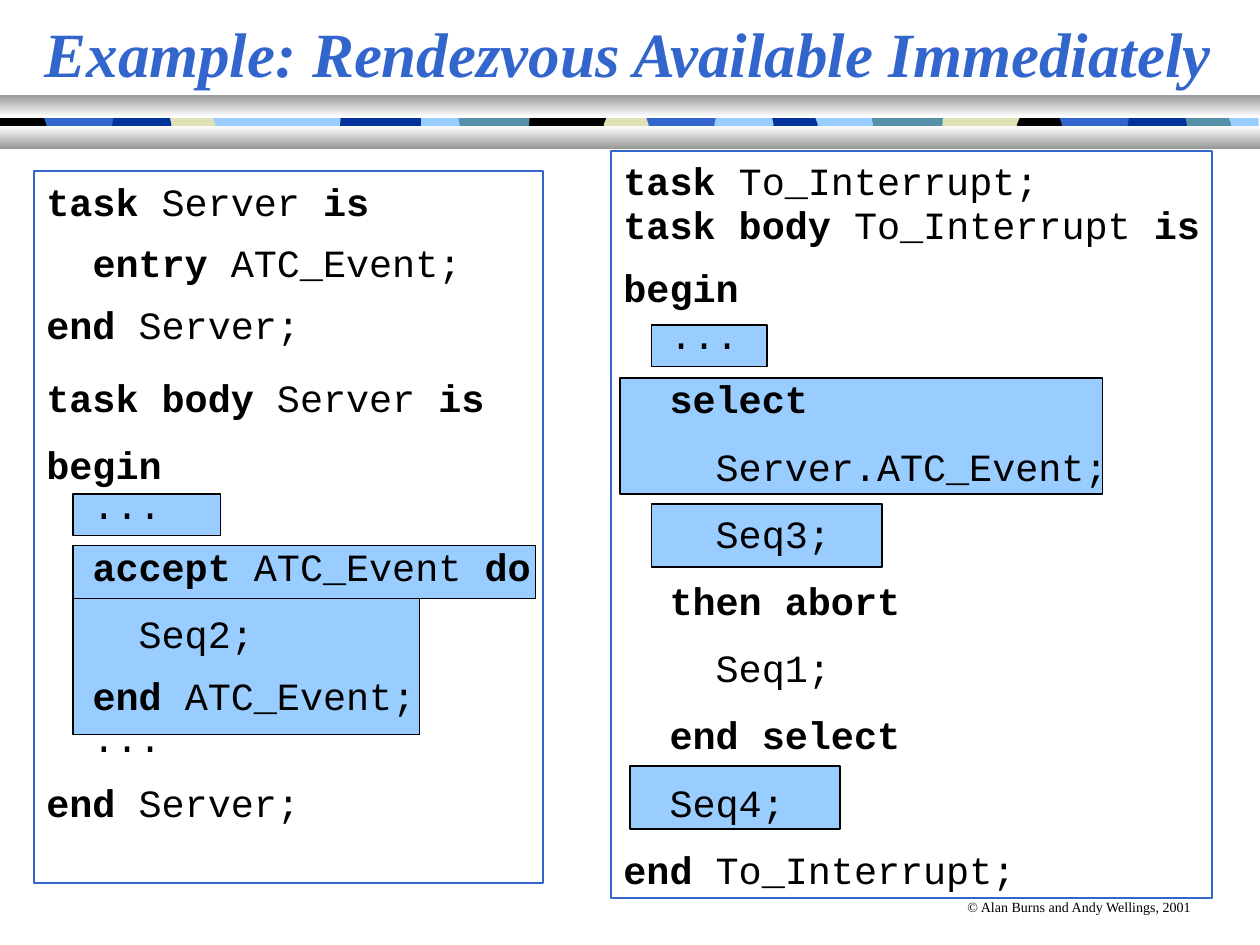
import pptx
import pptx.util
import pptx.dml.color
import pptx.enum.shapes
import pptx.enum.text

Inches = pptx.util.Inches
Pt = pptx.util.Pt

THEME = {
    "light": "99CCFF", "teal": "5490A8", "cream": "E1E1B7", "black": "000000",
    "blue": "3366CC", "navy": "003399", "white": "FFFFFF", "grey": "989898",
    "serif": "Times New Roman", "mono": "Courier New",
    "title": 36, "code": 22, "foot": 8, "line": 1,
}

TITLE = "Example: Rendezvous Available Immediately"
FOOT = "© Alan Burns and Andy Wellings, 2001"

SERVER = [
    ("*task* Server *is*", 0, 3, 1),
    ("  *entry* ATC_Event;", 6, 3, 1),
    ("*end* Server;", 6, 6, 1),
    ("*task body* Server *is*", 9, 3, 1),
    ("*begin*", 9, 3, 1),
    ("  ...", 9, 3, 0.3),
    ("  *accept* ATC_Event *do*", 9, 3, 1),
    ("    Seq2;", 9, 3, 1),
    ("  *end *ATC_Event;", 6, 3, 1),
    ("  ...", 6, 3, 0.5),
    ("*end* Server;", 9, 3, 1),
]
CLIENT = [
    ("*task* To_Interrupt;", 0, 3, 1),
    ("*task body* To_Interrupt *is*", 9, 3, 0.4),
    ("*begin*", 9, 3, 1),
    ("  ...", 9, 3, 0.5),
    ("  *select*", 9, 3, 1),
    ("    Server.ATC_Event;", 9, 3, 1),
    ("    Seq3;", 9, 3, 1),
    ("  *then abort*", 9, 3, 1),
    ("    Seq1;", 9, 3, 1),
    ("  *end select*", 9, 3, 1),
    ("  Seq4;", 9, 3, 1),
    ("*end *To_Interrupt;", 9, 3, 1),
]
PANELS = [((0.27, 1.36, 4.04, 5.65), SERVER), ((4.85, 1.2, 4.77, 5.93), CLIENT)]

MARKS = [
    (0.58, 4.33, 3.67, 0.42), (4.92, 3, 3.83, 0.92), (5.17, 2.58, 0.92, 0.33),
    (0.58, 3.92, 1.17, 0.33), (0.58, 4.75, 2.75, 1.08), (5.17, 4, 1.83, 0.5),
    (5, 6.08, 1.67, 0.5),
]

TILES = {
    "wave": (0, 0.03, 0.63, 0.63),
    "lean": (0.59, 0.58, 1.22, 1.22),
    "cap": (2.49, 2.45, 2.82, 2.87),
    "bowl": (1.23, 1.17, 1.66, 1.62),
    "edge": (1.16, 1.16, 1.67, 1.62),
    "notch": (1.48, 1.53, 2.11, 2.11),
    "bulge": (2.08, 2.05, 2.49, 2.52),
}
RUNS = [
    (6.9, "wave teal, lean cream, cap teal, bowl black, notch blue, bulge navy"),
    (3.62, "wave teal, lean black, cap navy, bowl cream, notch blue, bulge light"),
    (2.12, "wave light, lean navy"),
    (-1.16, "cap cream, edge black, notch blue, bulge navy"),
]
BAND = (0.85, 0.99, 1.13)
BARS = [(0.75, "grey", "white"), (1, "white", "grey")]


def tint(name):
    return pptx.dml.color.RGBColor.from_string(THEME[name])


def paint(shape, fill=None, line=None):
    shape.shadow.inherit = False
    if fill:
        shape.fill.solid()
        shape.fill.fore_color.rgb = tint(fill)
    else:
        shape.fill.background()
    if line:
        shape.line.color.rgb = tint(line)
        shape.line.width = Pt(THEME["line"])
    else:
        shape.line.fill.background()


def rect(slide, box, fill=None, line=None):
    kind = pptx.enum.shapes.MSO_SHAPE.RECTANGLE
    shape = slide.shapes.add_shape(kind, *map(Inches, box))
    paint(shape, fill, line)
    return shape


def style(run, face, size, color, bold=False, slant=False):
    font = run.font
    font.name = THEME[face]
    font.size = Pt(THEME[size])
    font.color.rgb = tint(color)
    font.bold = bold
    font.italic = slant


def label(slide, box, text, wrap, align, look):
    frame = slide.shapes.add_textbox(*map(Inches, box)).text_frame
    frame.word_wrap = wrap
    frame.vertical_anchor = pptx.enum.text.MSO_ANCHOR.MIDDLE
    frame.text = text
    frame.paragraphs[0].alignment = align
    style(frame.paragraphs[0].runs[0], *look)


def tile(slide, base, name, color):
    left, inner, right, outer = (Inches(base + x) for x in TILES[name])
    top, mid, low = map(Inches, BAND)
    pen = slide.shapes.build_freeform(left, top)
    pen.add_line_segments(
        [(right, top), (outer, mid), (right, low), (left, low), (inner, mid)])
    paint(pen.convert_to_shape(), color)


def bar(slide, top, first, last):
    shape = rect(slide, (0, top, 10, 0.18))
    shape.fill.gradient()
    shape.fill.gradient_angle = 270
    for stop, color in zip(shape.fill.gradient_stops, (first, last)):
        stop.color.rgb = tint(color)


def panel(slide, box, lines):
    frame = rect(slide, box, line="blue").text_frame
    frame.word_wrap = False
    frame.vertical_anchor = pptx.enum.text.MSO_ANCHOR.TOP
    for i, (text, above, below, pitch) in enumerate(lines):
        para = frame.paragraphs[0] if i == 0 else frame.add_paragraph()
        para.alignment = pptx.enum.text.PP_ALIGN.LEFT
        para.space_before = Pt(above)
        para.space_after = Pt(below)
        para.line_spacing = float(pitch)
        for j, part in enumerate(text.split("*")):
            if part:
                run = para.add_run()
                run.text = part
                style(run, "mono", "code", "black", j % 2 == 1)


def main():
    deck = pptx.Presentation()
    deck.slide_width, deck.slide_height = Inches(10), Inches(7.5)
    slide = deck.slides.add_slide(deck.slide_layouts[6])
    align = pptx.enum.text.PP_ALIGN

    rect(slide, (0.02, 0.85, 9.97, 0.28), "light")
    for base, names in RUNS:
        for item in names.split(", "):
            tile(slide, base, *item.split())
    for item in BARS:
        bar(slide, *item)
    label(slide, (7.58, 7.08, 2, 0.24), FOOT, False, align.LEFT,
          ("serif", "foot", "black"))
    label(slide, (0, 0, 9.97, 0.83), TITLE, True, align.CENTER,
          ("serif", "title", "blue", True, True))
    for box in MARKS:
        rect(slide, box, "light", "black")
    for box, lines in PANELS:
        panel(slide, box, lines)
    deck.save("out.pptx")


if __name__ == "__main__":
    main()
